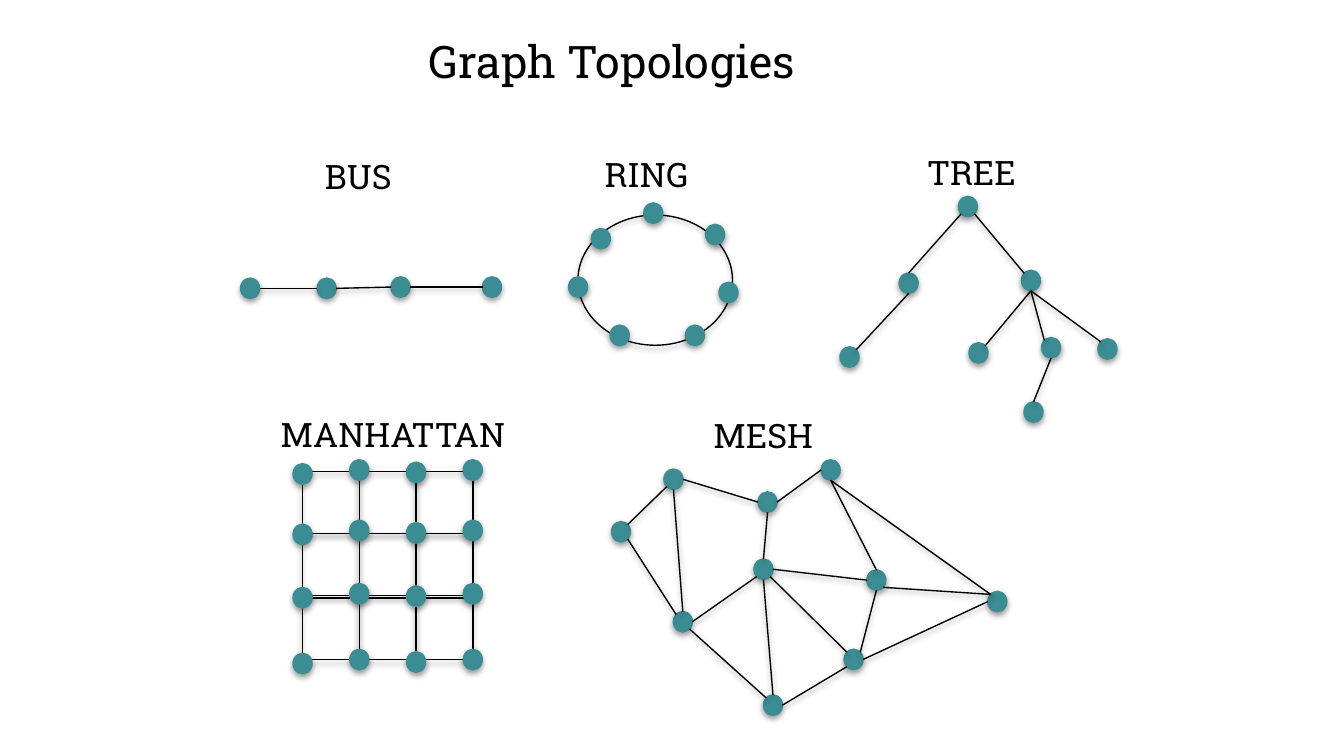
from lxml import etree
from pptx import Presentation
from pptx.dml.color import RGBColor
from pptx.enum.shapes import MSO_CONNECTOR, MSO_SHAPE
from pptx.enum.text import MSO_ANCHOR, PP_ALIGN
from pptx.oxml import parse_xml
from pptx.oxml.ns import nsdecls, qn
from pptx.util import Pt

STRAIGHT = MSO_CONNECTOR.STRAIGHT
OVAL, RECT = MSO_SHAPE.OVAL, MSO_SHAPE.RECTANGLE
LEFT, TOP = PP_ALIGN.LEFT, MSO_ANCHOR.TOP
COLORS = {"node": "3C8C93", "line": "000000", "text": "000000", "shadow": "000000"}
FONT = "Roboto Slab"
NODE_W, NODE_H = 10.2, 11
NEAR, FAR = 0.15, 0.85
SITES = [(0.5, 0), (NEAR, NEAR), (0, 0.5), (NEAR, FAR),
         (0.5, 1), (FAR, FAR), (1, 0.5), (FAR, NEAR)]


def rgb(name):
    """Return the named palette colour."""
    return RGBColor.from_string(COLORS[name])


def style_line(shape, color):
    """Give a shape or connector its thin line and soft shadow."""
    shape.line.color.rgb = rgb(color)
    shape.line.width = Pt(0.75)
    shape._element.spPr.append(parse_xml(
        f'<a:effectLst {nsdecls("a")}>'
        f'<a:outerShdw blurRad="{Pt(3.1)}" dist="{Pt(1.6)}" dir="5400000" rotWithShape="0">'
        f'<a:srgbClr val="{COLORS["shadow"]}"><a:alpha val="38000"/></a:srgbClr>'
        '</a:outerShdw></a:effectLst>'))


def write(shape, text, size):
    """Write one unwrapped line of text into a shape."""
    tf = shape.text_frame
    tf.word_wrap = False
    tf.vertical_anchor = TOP
    p = tf.paragraphs[0]
    p.alignment = LEFT
    p.line_spacing = 1.0
    p.space_before = Pt(0)
    r = p.add_run()
    r.text = text
    r.font.name, r.font.size = FONT, Pt(size)
    r.font.color.rgb = rgb("text")


def add_title(s, box, text):
    """Move the title placeholder to its box and fill it."""
    title = s.shapes.title
    title.left, title.top, title.width, title.height = map(Pt, box)
    write(title, text, 24)


def add_label(s, box, dx, width, text):
    """Place a topology name at the top of its box."""
    x, y, _, _ = box
    write(s.shapes.add_textbox(Pt(x + dx), Pt(y), Pt(width), Pt(28.8)), text, 18)


def add_outline(s, kind, x, y, w, h):
    """Draw an unfilled outline."""
    sp = s.shapes.add_shape(kind, Pt(x), Pt(y), Pt(w), Pt(h))
    sp.fill.background()
    style_line(sp, "line")


def add_nodes(s, box, offsets):
    """Draw nodes at offsets from the corner of the box."""
    nodes = []
    for dx, dy in offsets:
        sp = s.shapes.add_shape(OVAL, Pt(box[0] + dx), Pt(box[1] + dy), Pt(NODE_W), Pt(NODE_H))
        sp.fill.solid()
        sp.fill.fore_color.rgb = rgb("node")
        style_line(sp, "node")
        nodes.append(sp)
    return nodes


def site_point(node, site):
    """Return the position of a connection site on a node."""
    fx, fy = SITES[site]
    return int(node.left + fx * node.width), int(node.top + fy * node.height)


def add_edges(s, nodes, edges):
    """Join nodes, each edge being start node, site, end node, site."""
    for start, start_site, end, end_site in edges:
        ends = (("a:stCxn", nodes[start], start_site), ("a:endCxn", nodes[end], end_site))
        points = [site_point(node, site) for _, node, site in ends]
        line = s.shapes.add_connector(STRAIGHT, *points[0], *points[1])
        style_line(line, "line")
        joints = line._element.nvCxnSpPr.cNvCxnSpPr
        for tag, node, site in ends:
            etree.SubElement(joints, qn(tag), id=str(node.shape_id), idx=str(site))


def add_bus(s, box):
    """Draw the chain of nodes."""
    nodes = add_nodes(s, box, [(0, 69.1), (41, 69.1), (80.6, 68.4), (129.6, 68.4)])
    add_edges(s, nodes, [(i, 6, i + 1, 2) for i in range(len(nodes) - 1)])
    add_label(s, box, 38.1, 50.4, "BUS")


def add_ring(s, box):
    """Draw the nodes around an ellipse."""
    x, y, _, _ = box
    add_outline(s, OVAL, x + 5, y + 36, 82.8, 69.8)
    add_nodes(s, box, [(40.3, 29.5), (73.4, 41), (80.6, 72), (62.6, 95),
                       (22.3, 95), (0, 69.1), (12.2, 43.2)])
    add_label(s, box, 12.2, 59, "RING")


def add_tree(s, box):
    """Draw the branching nodes."""
    nodes = add_nodes(s, box, [(63.4, 27.4), (31.7, 68.4), (97.2, 67), (0, 108),
                               (69.1, 105.8), (108, 103), (138.2, 103.7), (98.6, 137.5)])
    add_edges(s, nodes, [(0, 3, 1, 0), (2, 1, 0, 5), (3, 7, 1, 4), (4, 7, 2, 4),
                         (5, 1, 2, 4), (6, 1, 2, 4), (7, 0, 5, 4)])
    add_label(s, box, 39.6, 62.6, "TREE")


def add_manhattan(s, box):
    """Draw the grid of cells with a node on each crossing."""
    x, y, _, _ = box
    for dy in (34.6, 67.7, 102.2):
        for col in range(3):
            add_outline(s, RECT, x + 18.7 + 30.5 * col, y + dy, 30.5, 33.1)
    lifts = (0, 2.1, 0.8, 2.1)
    add_nodes(s, box, [(13.7 + 30.4 * col, dy - lift)
                       for dy in (30.2, 62.6, 96.5, 131.8)
                       for col, lift in enumerate(lifts)])
    add_label(s, box, 0, 140.4, "MANHATTAN")


def add_mesh(s, box):
    """Draw the irregular net of nodes."""
    nodes = add_nodes(s, box, [(28.1, 32.4), (78.5, 44.6), (0, 60.5), (33.1, 108.7),
                               (76.3, 80.6), (81.4, 153.4), (112.3, 27.4),
                               (136.8, 86.4), (124.6, 128.9), (201.6, 97.9)])
    add_edges(s, nodes, [(0, 3, 2, 7), (1, 2, 0, 6), (4, 0, 1, 4), (1, 6, 6, 2),
                         (7, 0, 6, 4), (7, 2, 4, 6), (3, 1, 2, 5), (3, 6, 4, 3),
                         (8, 1, 4, 5), (8, 7, 7, 4), (5, 1, 3, 5), (8, 3, 5, 6),
                         (3, 0, 0, 4), (5, 0, 4, 4), (7, 5, 9, 1), (8, 6, 9, 2),
                         (6, 4, 9, 1)])
    add_label(s, box, 47.5, 68.4, "MESH")


def main():
    """Build and save the slide."""
    prs = Presentation()
    prs.slide_width, prs.slide_height = Pt(720), Pt(405)
    s = prs.slides.add_slide(prs.slide_layouts[5])
    add_title(s, (222.5, 14.4, 213.8, 36), "Graph Topologies")
    add_bus(s, (128.9, 79.9, 140, 80))
    add_ring(s, (304.6, 79.2, 91, 106))
    add_tree(s, (450, 77.8, 148, 149))
    add_manhattan(s, (143.3, 218.2, 140, 143))
    add_mesh(s, (327.6, 218.9, 212, 164))
    prs.save("out.pptx")


if __name__ == "__main__":
    main()
